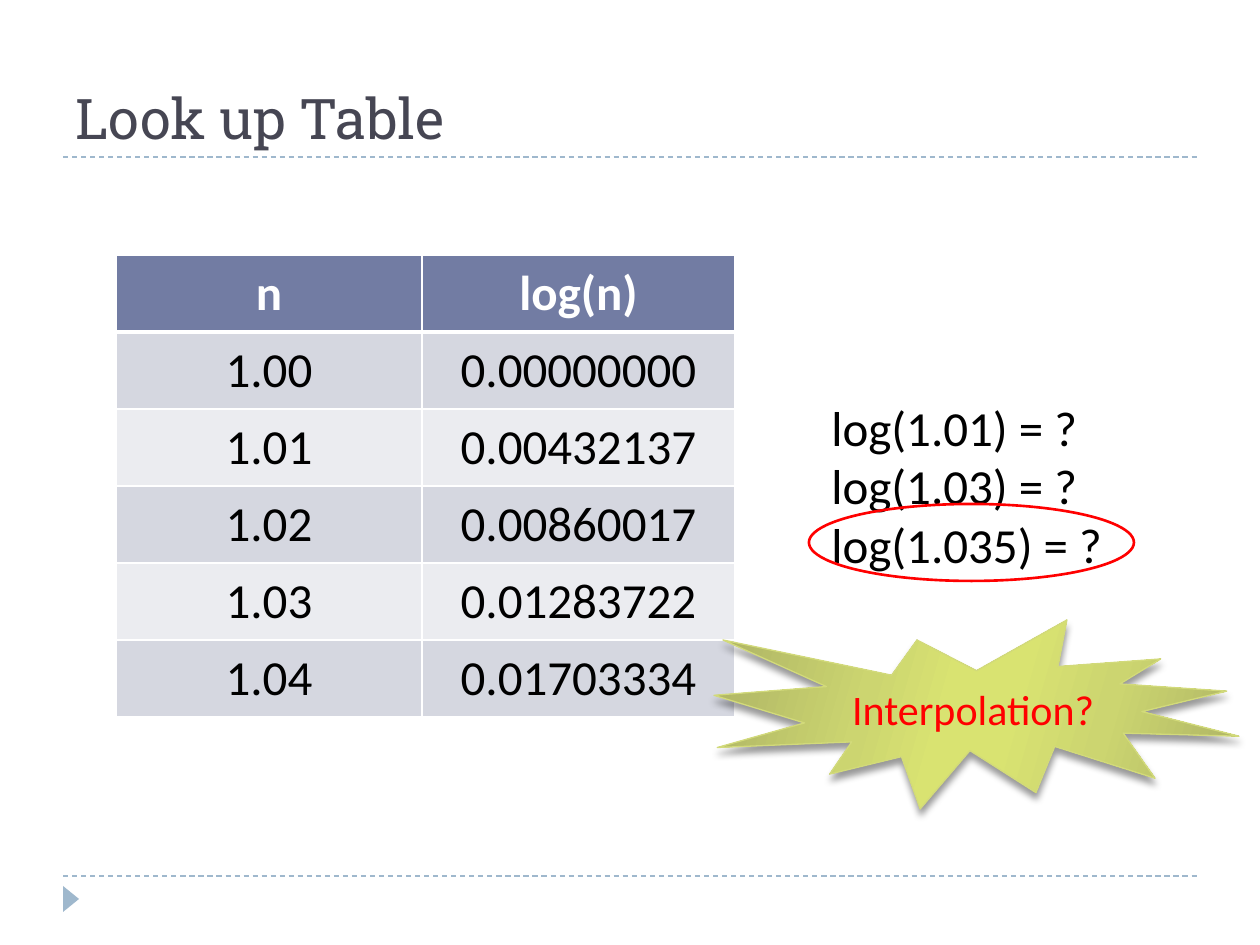
from dataclasses import dataclass
from typing import Any

import lxml.etree
import pptx
import pptx.dml.color
import pptx.enum.dml
import pptx.enum.shapes
import pptx.enum.text
import pptx.oxml.ns
import pptx.util

SCALE = 914400 / 126  # EMU in one pixel
Kind = pptx.enum.shapes.MSO_SHAPE
Align = pptx.enum.text.PP_ALIGN
Anchor = pptx.enum.text.MSO_ANCHOR
Fit = pptx.enum.text.MSO_AUTO_SIZE
qn = pptx.oxml.ns.qn


@dataclass(frozen=True)
class Theme:
    head: str = "Roboto Slab"
    body: str = "Calibri"
    title: int = 32
    text: int = 28
    note: int = 24
    ink: str = "000000"
    dark: str = "464653"
    white: str = "FFFFFF"
    red: str = "FF0000"
    blue: str = "9FB8CD"
    top: str = "727CA3"
    bands: tuple = ("D5D7E0", "EBECF0")
    edge: str = "D2DA7A"
    stops: tuple = ((0, "ACB264"), (30, "CCD570"), (45, "D9E371"),
                    (55, "D9E371"), (73, "CCD570"), (100, "ACB264"))


@dataclass(frozen=True)
class Box:
    left: int
    top: int
    width: int
    height: int

    def emu(self) -> list:
        return [px(n) for n in (self.left, self.top, self.width, self.height)]


@dataclass(frozen=True)
class Style:
    size: int
    color: str
    font: str = Theme.body
    bold: bool = False
    align: Any = None
    space: Any = None


@dataclass(frozen=True)
class Form:
    kind: Any
    box: Box
    fill: Any = None
    line: Any = None
    width: float = 0.75
    turn: int = 0


def px(n: int) -> int:
    return round(n * SCALE)


def rgb(code: str) -> pptx.dml.color.RGBColor:
    return pptx.dml.color.RGBColor.from_string(code)


def apply(item: Any, values: dict) -> None:
    for name, value in values.items():
        if value is not None:
            setattr(item, name, value)


def node(parent: Any, tag: str, **attrs: Any) -> Any:
    return lxml.etree.SubElement(parent, qn(tag), {k: str(v) for k, v in attrs.items()})


def write(frame: Any, lines: list, style: Style) -> None:
    for i, line in enumerate(lines):
        para = frame.add_paragraph() if i else frame.paragraphs[0]
        apply(para, {"alignment": style.align, "line_spacing": style.space})
        run = para.add_run()
        run.text = line
        apply(run.font, {"name": style.font, "size": pptx.util.Pt(style.size),
                         "bold": style.bold})
        run.font.color.rgb = rgb(style.color)


def label(slide: Any, box: Box, lines: list, style: Style, frame: dict) -> None:
    text = slide.shapes.add_textbox(*box.emu()).text_frame
    apply(text, frame)
    write(text, lines, style)


def rule(slide: Any, y: int) -> None:
    line = slide.shapes.add_connector(
        pptx.enum.shapes.MSO_CONNECTOR.STRAIGHT, px(63), px(y), px(1197), px(y))
    line.line.color.rgb = rgb(theme.blue)
    apply(line.line, {"width": pptx.util.Pt(0.75),
                      "dash_style": pptx.enum.dml.MSO_LINE.DASH})
    node(line._element.spPr, "a:effectLst")


def draw(slide: Any, form: Form) -> Any:
    shape = slide.shapes.add_shape(form.kind, *form.box.emu())
    shape.shadow.inherit = False
    shape.rotation = form.turn
    if form.fill:
        shape.fill.solid()
        shape.fill.fore_color.rgb = rgb(form.fill)
    else:
        shape.fill.background()
    if form.line:
        shape.line.color.rgb = rgb(form.line)
        shape.line.width = pptx.util.Pt(form.width)
    else:
        shape.line.fill.background()
    return shape


def blend(shape: Any, stops: tuple, angle: int) -> None:
    shape.fill.gradient()
    shape.fill.gradient_angle = 360 - angle
    group = shape._element.spPr.find(qn("a:gradFill")).find(qn("a:gsLst"))
    for old in list(group):
        group.remove(old)
    for place, color in stops:
        node(node(group, "a:gs", pos=place * 1000), "a:srgbClr", val=color)


def shade(shape: Any) -> None:
    glow = node(shape._element.spPr.find(qn("a:effectLst")), "a:outerShdw",
                blurRad=pptx.util.Pt(4), dist=pptx.util.Pt(3.4),
                dir=90 * 60000, rotWithShape=0)
    node(node(glow, "a:srgbClr", val=theme.ink), "a:alpha", val=40000)


def border(cell: Any, side: str, width: int) -> None:
    line = node(cell._tc.get_or_add_tcPr(), "a:ln" + side, w=pptx.util.Pt(width))
    node(node(line, "a:solidFill"), "a:srgbClr", val=theme.white)


def grid(slide: Any, left: int, top: int, cols: list, high: int, rows: list) -> None:
    box = Box(left, top, sum(cols), high * len(rows))
    table = slide.shapes.add_table(len(rows), len(cols), *box.emu()).table
    for col, width in zip(table.columns, cols):
        col.width = px(width)
    for r, row in enumerate(rows):
        table.rows[r].height = px(high)
        for c, word in enumerate(row):
            cell = table.cell(r, c)
            apply(cell, {"margin_left": px(9), "margin_right": px(9),
                         "margin_top": 0, "margin_bottom": 0})
            for side in "LRTB":
                seam = (r, side) in ((0, "B"), (1, "T"))
                border(cell, side, 3 if seam else 1)
            cell.fill.solid()
            cell.fill.fore_color.rgb = rgb(theme.bands[(r - 1) % 2] if r else theme.top)
            write(cell.text_frame, [word],
                  Style(theme.text, theme.ink if r else theme.white,
                        bold=r == 0, align=Align.CENTER, space=1.15))


theme = Theme()
deck = pptx.Presentation()
apply(deck, {"slide_width": px(1260), "slide_height": px(945)})
slide = deck.slides.add_slide(deck.slide_layouts[6])

# Frame of the page
for y in (876, 157):
    rule(slide, y)
draw(slide, Form(Kind.ISOSCELES_TRIANGLE, Box(58, 891, 26, 16), theme.blue, turn=90))

# Title
label(slide, Box(63, 21, 1134, 136), ["Look up Table"],
      Style(theme.title, theme.dark, theme.head),
      {"word_wrap": True, "vertical_anchor": Anchor.BOTTOM})

# Table of logs
grid(slide, 116, 255, [306, 313], 77, [
    ("n", "log(n)"),
    ("1.00", "0.00000000"),
    ("1.01", "0.00432137"),
    ("1.02", "0.00860017"),
    ("1.03", "0.01283722"),
    ("1.04", "0.01703334"),
])

# Questions, the last one ringed
label(slide, Box(819, 391, 300, 190),
      [f"log({n}) = ?" for n in ("1.01", "1.03", "1.035")],
      Style(theme.text, theme.ink),
      {"word_wrap": False, "auto_size": Fit.SHAPE_TO_FIT_TEXT})
draw(slide, Form(Kind.OVAL, Box(809, 504, 325, 77), line=theme.red, width=1.5))

# Burst
burst = draw(slide, Form(Kind.EXPLOSION1, Box(714, 620, 525, 189), line=theme.edge))
blend(burst, theme.stops, 16)
shade(burst)
burst.text_frame.vertical_anchor = Anchor.MIDDLE
write(burst.text_frame, ["Interpolation?"],
      Style(theme.note, theme.red, align=Align.CENTER))

deck.save("out.pptx")
